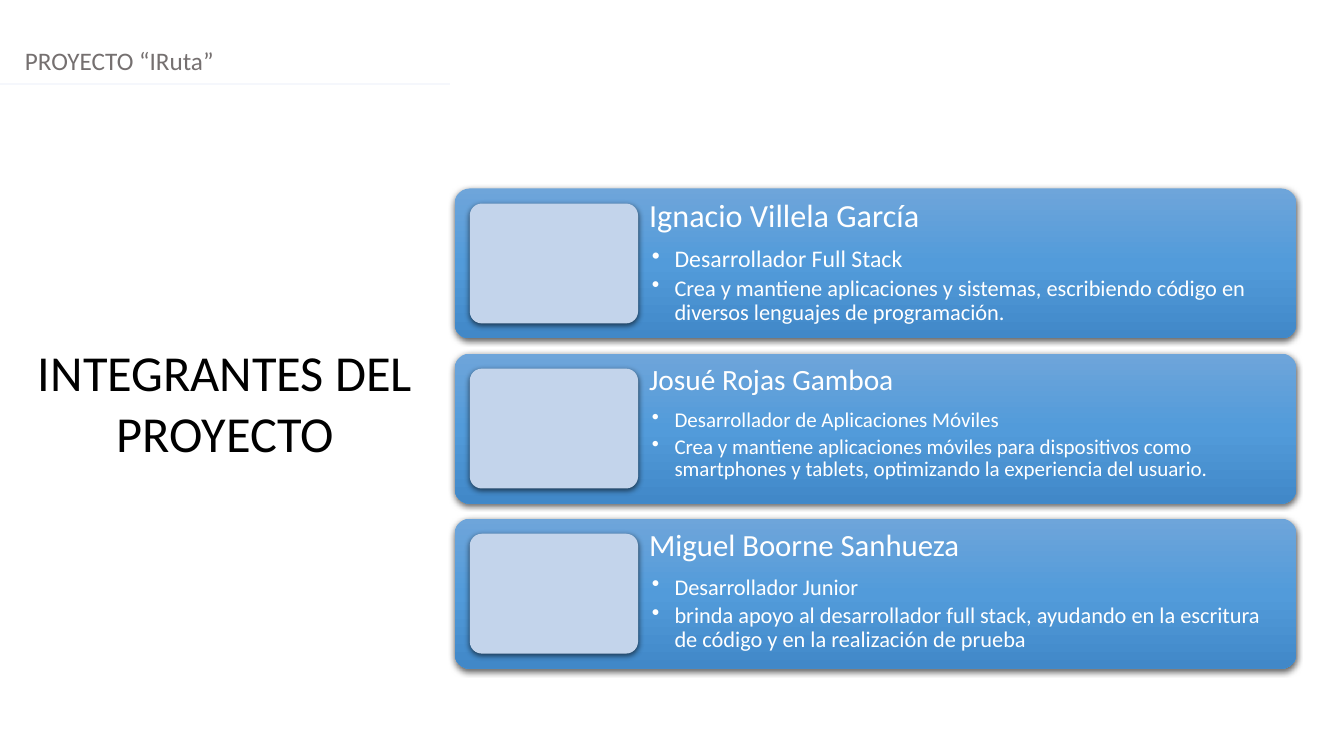
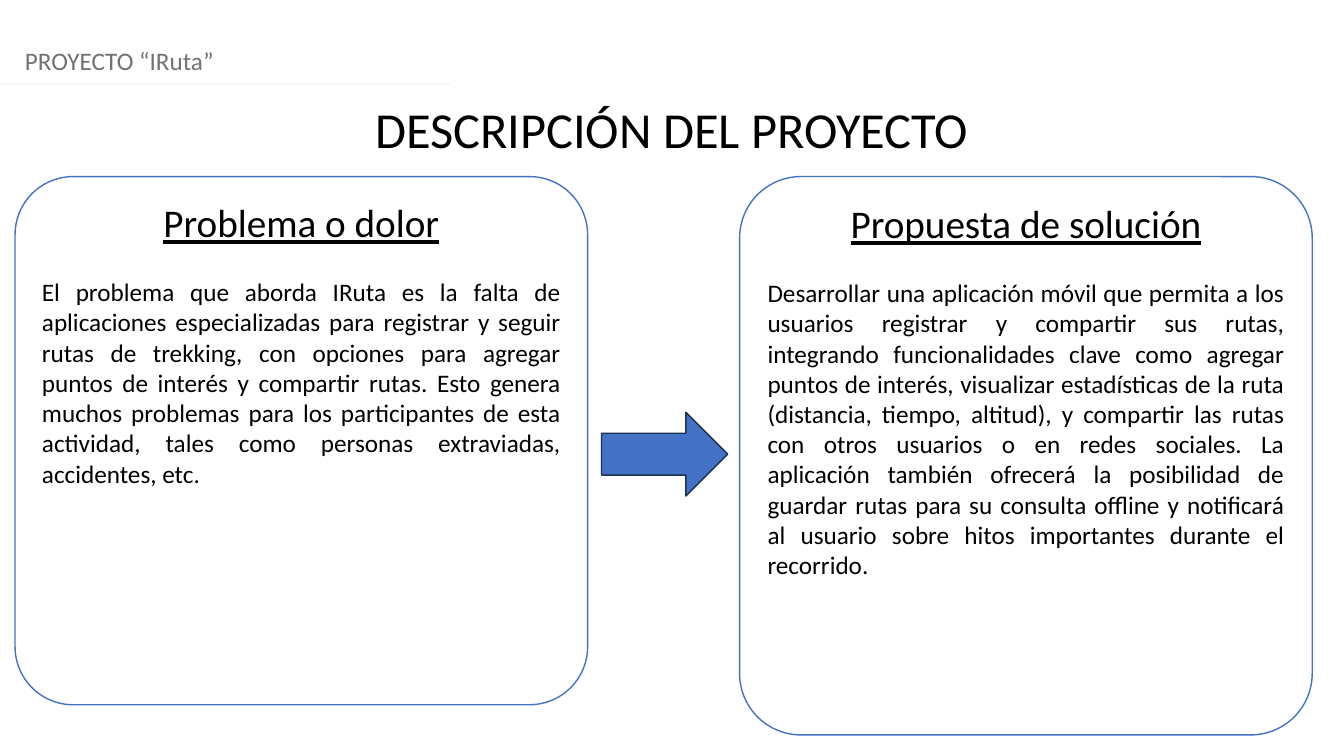
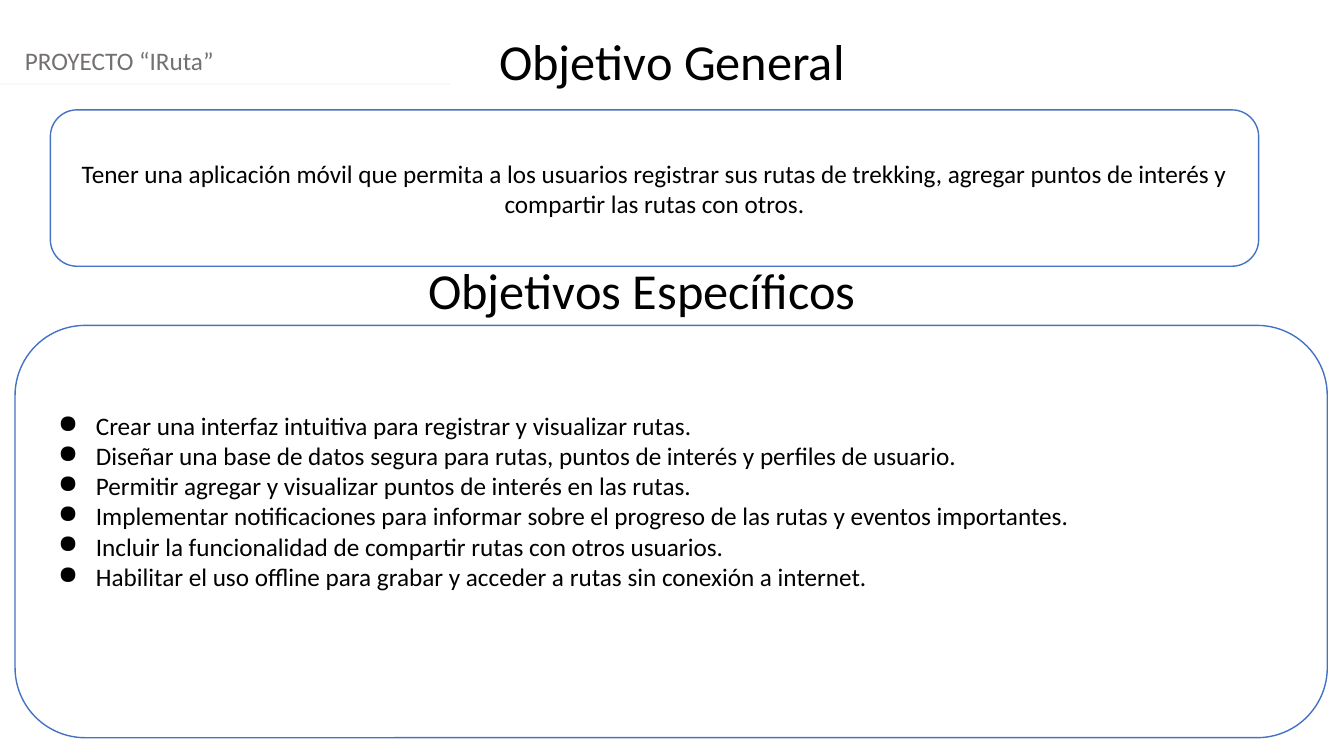
from pptx import Presentation
from pptx import util as u
from pptx.dml import color
from pptx.enum import shapes, text
from pptx.oxml import parse_xml
from pptx.oxml import ns

FONT = "Calibri"
COLORS = {
    "black": "000000", "white": "FFFFFF", "grey": "757070", "rule": "F5F7FC",
    "blue": "4472C4", "navy": "1C3052", "portrait": "C3D4EB",
    "card_top": "6EA5DA", "card_middle": "529BDA", "card_bottom": "4188C8",
}
SLIDE_WIDTH = 33.87
SLIDE_HEIGHT = 19.05
ALIGN = text.PP_ALIGN
ANCHOR = text.MSO_ANCHOR
SHAPE = shapes.MSO_SHAPE


def rgb(name):
    return color.RGBColor.from_string(COLORS[name])


def xml(markup):
    return parse_xml(markup.replace(">", " " + ns.nsdecls("a") + ">", 1))


def write(frame, content, size=18, ink="black", align=ALIGN.LEFT, underline=False,
          spacing=None, before=0, bullet=None, indent=(0, 0)):
    paragraph = frame.paragraphs[-1]
    if paragraph.runs:
        paragraph = frame.add_paragraph()
    paragraph.alignment = align
    paragraph.space_before = u.Pt(before)
    if spacing:
        paragraph.line_spacing = spacing
    if bullet:
        properties = paragraph._p.get_or_add_pPr()
        margin, hanging = indent
        properties.set("marL", str(u.Cm(margin)))
        properties.set("indent", str(u.Cm(hanging)))
        properties.append(xml(f'<a:buClr><a:srgbClr val="{COLORS[ink]}"/></a:buClr>'))
        properties.append(xml(f'<a:buChar char="{bullet}"></a:buChar>'))
    run = paragraph.add_run()
    run.text = content
    run.font.name = FONT
    run.font.size = u.Pt(size)
    run.font.underline = underline
    run.font.color.rgb = rgb(ink)


class Deck:
    def __init__(self):
        self.presentation = Presentation()
        self.presentation.slide_width = u.Cm(SLIDE_WIDTH)
        self.presentation.slide_height = u.Cm(SLIDE_HEIGHT)
        self.slide = None

    def new_slide(self):
        self.slide = self.presentation.slides.add_slide(self.presentation.slide_layouts[6])
        write(self.textbox(0.38, 1.02, SLIDE_WIDTH, 1.02), "PROYECTO “IRuta”", ink="grey")
        self.rule(0, 11.35, 2.11)

    def textbox(self, left, top, width, height, inset=None):
        box = self.slide.shapes.add_textbox(*map(u.Cm, (left, top, width, height)))
        frame = box.text_frame
        frame.word_wrap = True
        if inset:
            frame.margin_left = frame.margin_right = u.Cm(inset)
            frame.margin_top = frame.margin_bottom = u.Cm(inset)
        return frame

    def title(self, content, top, left=0, width=SLIDE_WIDTH, height=1.8):
        write(self.textbox(left, top, width, height), content, size=36, align=ALIGN.CENTER)

    def rule(self, start, end, top):
        line = self.slide.shapes.add_connector(
            shapes.MSO_CONNECTOR.STRAIGHT, u.Cm(start), u.Cm(top), u.Cm(end), u.Cm(top))
        line.line.color.rgb = rgb("rule")
        line.line.width = u.Pt(1.25)
        line._element.spPr.append(xml("<a:effectLst></a:effectLst>"))

    def shape(self, kind, left, top, width, height, fill=None, line=None, corner=None):
        shape = self.slide.shapes.add_shape(kind, *map(u.Cm, (left, top, width, height)))
        shape.shadow.inherit = False
        if corner:
            shape.adjustments[0] = corner
        if fill:
            shape.fill.solid()
            shape.fill.fore_color.rgb = rgb(fill)
        if line:
            shape.line.color.rgb = rgb(line)
            shape.line.width = u.Pt(1)
        else:
            shape.line.fill.background()
        return shape

    def panel(self, left, top, width, height, corner, anchor):
        shape = self.shape(SHAPE.ROUNDED_RECTANGLE, left, top, width, height,
                           "white", "blue", corner)
        shape.text_frame.word_wrap = True
        shape.text_frame.vertical_anchor = anchor
        return shape.text_frame

    def raised(self, left, top, width, height, fill=None):
        shape = self.shape(SHAPE.ROUNDED_RECTANGLE, left, top, width, height, fill, corner=0.1)
        effects = shape._element.spPr.find(ns.qn("a:effectLst"))
        effects.append(xml(
            f'<a:outerShdw blurRad="{u.Pt(4.5)}" dist="{u.Pt(1.5)}" dir="5400000" rotWithShape="0">'
            f'<a:srgbClr val="{COLORS["black"]}"><a:alpha val="62000"/></a:srgbClr></a:outerShdw>'))
        return shape

    def member_card(self, top, name, role, duty, name_size, role_size, duty_size):
        left, width, height, margin, portrait_width = 11.46, 21.21, 3.78, 0.38, 4.24
        card = self.raised(left, top, width, height)
        stops = "".join(
            f'<a:gs pos="{position}"><a:srgbClr val="{COLORS[name_of_stop]}"/></a:gs>'
            for position, name_of_stop in
            ((0, "card_top"), (50000, "card_middle"), (100000, "card_bottom")))
        card._element.spPr.find(ns.qn("a:prstGeom")).addnext(xml(
            f'<a:gradFill><a:gsLst>{stops}</a:gsLst><a:lin ang="5400000" scaled="0"/></a:gradFill>'))
        offset = margin + portrait_width
        frame = self.textbox(left + offset, top, width - offset, height, inset=0.28)
        write(frame, name, size=name_size, ink="white", spacing=0.9)
        for content, size, before in ((role, role_size, 9.1), (duty, duty_size, 3)):
            write(frame, content, size=size, ink="white", spacing=0.9, before=before,
                  bullet="•", indent=(0.64, -0.57))
        self.raised(left + margin, top + margin, portrait_width, height - 2 * margin, "portrait")


def build_members(deck):
    deck.new_slide()
    deck.title("INTEGRANTES DEL PROYECTO", 8.48, left=0.66, width=10.03, height=3.33)
    members = (
        ("Ignacio Villela García", "Desarrollador Full Stack",
         "Crea y mantiene aplicaciones y sistemas, escribiendo código en diversos lenguajes "
         "de programación.", 23, 17, 16),
        ("Josué Rojas Gamboa", "Desarrollador de Aplicaciones Móviles",
         "Crea y mantiene aplicaciones móviles para dispositivos como smartphones y tablets, "
         "optimizando la experiencia del usuario.", 21, 15, 15),
        ("Miguel Boorne Sanhueza", "Desarrollador Junior",
         "brinda apoyo al desarrollador full stack, ayudando en la escritura de código y en "
         "la realización de prueba", 22, 16, 16),
    )
    for index, member in enumerate(members):
        deck.member_card(4.75 + 4.16 * index, *member)


def build_description(deck):
    deck.new_slide()
    deck.title("DESCRIPCIÓN DEL PROYECTO", 2.36)
    panels = (
        (0.38, 13.31, "Problema o dolor",
         "El problema que aborda IRuta es la falta de aplicaciones especializadas para "
         "registrar y seguir rutas de trekking, con opciones para agregar puntos de interés "
         "y compartir rutas. Esto genera muchos problemas para los participantes de esta "
         "actividad, tales como personas extraviadas, accidentes, etc."),
        (18.64, 14.07, "Propuesta de solución",
         "Desarrollar una aplicación móvil que permita a los usuarios registrar y compartir "
         "sus rutas, integrando funcionalidades clave como agregar puntos de interés, "
         "visualizar estadísticas de la ruta (distancia, tiempo, altitud), y compartir las "
         "rutas con otros usuarios o en redes sociales. La aplicación también ofrecerá la "
         "posibilidad de guardar rutas para su consulta offline y notificará al usuario "
         "sobre hitos importantes durante el recorrido."),
    )
    for left, height, heading, body in panels:
        frame = deck.panel(left, 4.45, 14.43, height, 0.11, ANCHOR.TOP)
        write(frame, heading, size=28, align=ALIGN.CENTER, underline=True)
        write(frame, body, align=ALIGN.JUSTIFY, before=22)
    deck.shape(SHAPE.RIGHT_ARROW, 15.16, 10.39, 3.18, 2.11, "blue", "navy")


def build_objectives(deck):
    deck.new_slide()
    deck.title("Objetivo General", 0.64)
    deck.title("Objetivos Específicos", 6.4, left=-0.76)
    general = deck.panel(1.27, 2.77, 30.45, 3.94, 0.17, ANCHOR.MIDDLE)
    write(general, "Tener una aplicación móvil que permita a los usuarios registrar sus rutas "
          "de trekking, agregar puntos de interés y compartir las rutas con otros.",
          align=ALIGN.CENTER)
    specific = deck.panel(0.38, 8.2, 33.07, 10.39, 0.17, ANCHOR.MIDDLE)
    specific.margin_bottom = u.Cm(1.68)
    for objective in (
        "Crear una interfaz intuitiva para registrar y visualizar rutas.",
        "Diseñar una base de datos segura para rutas, puntos de interés y perfiles de usuario.",
        "Permitir agregar y visualizar puntos de interés en las rutas.",
        "Implementar notificaciones para informar sobre el progreso de las rutas y eventos "
        "importantes.",
        "Incluir la funcionalidad de compartir rutas con otros usuarios.",
        "Habilitar el uso offline para grabar y acceder a rutas sin conexión a internet.",
    ):
        write(specific, objective, bullet="●", indent=(1.27, -0.95))


def main():
    deck = Deck()
    build_members(deck)
    build_description(deck)
    build_objectives(deck)
    deck.presentation.save("out.pptx")


if __name__ == "__main__":
    main()
